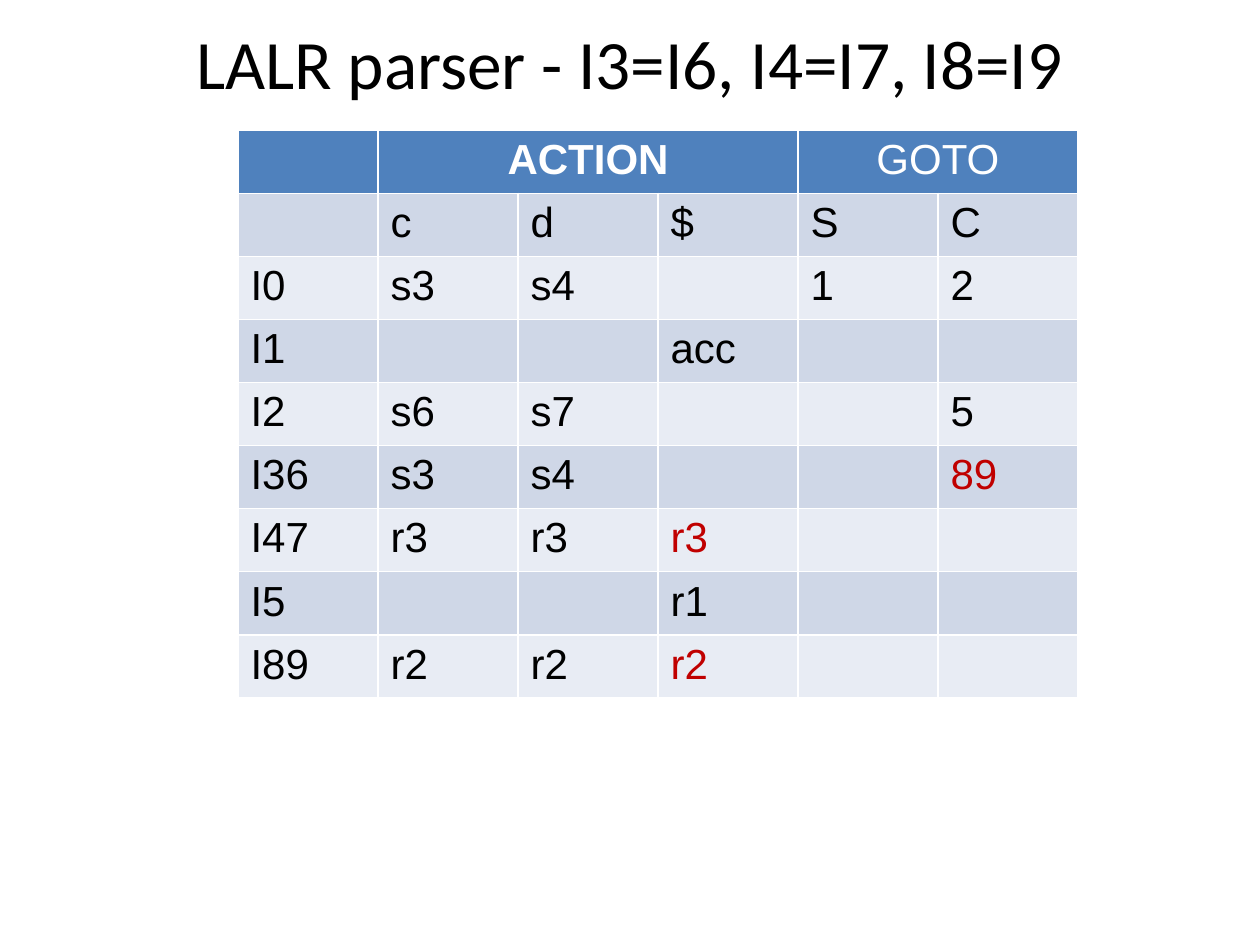
from pptx import Presentation
from pptx.dml.color import RGBColor
from pptx.enum.text import MSO_ANCHOR as Anchor, PP_ALIGN as Align
from pptx.util import Pt

BLACK = RGBColor(0x00, 0x00, 0x00)
WHITE = RGBColor(0xFF, 0xFF, 0xFF)
RED = RGBColor(0xC0, 0x00, 0x00)
BLUE = RGBColor(0x4F, 0x81, 0xBD)
BANDS = [RGBColor(0xE8, 0xEC, 0xF4), RGBColor(0xCF, 0xD7, 0xE7)]

TITLE_FONT = {"name": "Calibri", "size": Pt(39.6), "bold": False}
CELL_FONT = {"name": "Arial", "size": Pt(24), "bold": False}
HEADER_SPANS = [("ACTION", 1, 3, True), ("GOTO", 4, 5, False)]
PARSER_ROWS = [
    ["", "c", "d", "$", "S", "C"],
    ["I0", "s3", "s4", "", "1", "2"],
    ["I1", "", "", "acc", "", ""],
    ["I2", "s6", "s7", "", "", "5"],
    ["I36", "s3", "s4", "", "", "89"],
    ["I47", "r3", "r3", "r3", "", ""],
    ["I5", "", "", "r1", "", ""],
    ["I89", "r2", "r2", "r2", "", ""],
]
MERGED_ENTRIES = {("I36", 5), ("I47", 3), ("I89", 3)}


def write_text(paragraph, text, font_format, color, alignment=Align.LEFT):
    paragraph.text = text
    paragraph.alignment = alignment
    for name, value in font_format.items():
        setattr(paragraph.font, name, value)
    paragraph.font.color.rgb = color


def add_title(slide, text, left, top, width, height):
    shape = slide.shapes.add_textbox(Pt(left), Pt(top), Pt(width), Pt(height))
    frame = shape.text_frame
    frame.word_wrap = True
    frame.vertical_anchor = Anchor.MIDDLE
    write_text(frame.paragraphs[0], text, TITLE_FONT, BLACK, Align.CENTER)


def fill_cell(cell, color):
    cell.fill.solid()
    cell.fill.fore_color.rgb = color


def add_parsing_table(slide, left, top, width, height):
    row_count, column_count = len(PARSER_ROWS) + 1, len(PARSER_ROWS[0])
    table = slide.shapes.add_table(
        row_count, column_count, Pt(left), Pt(top), Pt(width), Pt(height)
    ).table

    for column in range(column_count):
        fill_cell(table.cell(0, column), BLUE)
    for text, first, last, bold in HEADER_SPANS:
        cell = table.cell(0, first)
        cell.merge(table.cell(0, last))
        header_font = {**CELL_FONT, "bold": bold}
        write_text(cell.text_frame.paragraphs[0], text, header_font, WHITE, Align.CENTER)

    for row, entries in enumerate(PARSER_ROWS, start=1):
        for column, text in enumerate(entries):
            cell = table.cell(row, column)
            fill_cell(cell, BANDS[row % 2])
            if text:
                color = RED if (entries[0], column) in MERGED_ENTRIES else BLACK
                write_text(cell.text_frame.paragraphs[0], text, CELL_FONT, color)


def main():
    presentation = Presentation()
    presentation.slide_width = Pt(720)
    presentation.slide_height = Pt(540)
    slide = presentation.slides.add_slide(presentation.slide_layouts[6])
    add_title(slide, "LALR parser - I3=I6, I4=I7, I8=I9", 36, 21.6, 648, 27.4)
    add_parsing_table(slide, 136, 74.5, 480, 306)
    presentation.save("out.pptx")


if __name__ == "__main__":
    main()
